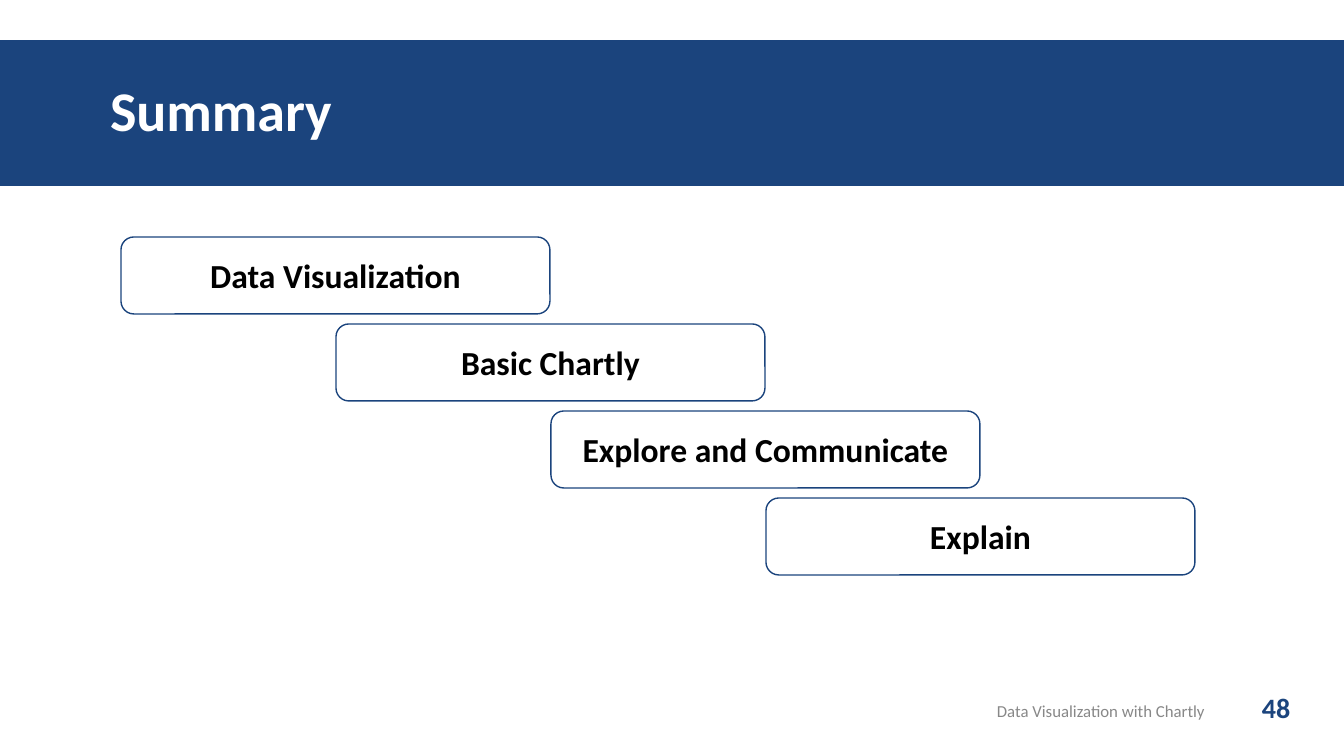
from pptx import Presentation
from pptx import util as u
from pptx.dml.color import RGBColor
from pptx.enum import shapes, text

PX = 914400 / 100.8
HUES = {"navy": "1B447D", "white": "FFFFFF", "black": "000000", "gray": "888888"}


def place(*nums):
    return [round(n * PX) for n in nums]


def write(shape, words, size, hue, bold, align):
    frame = shape.text_frame
    frame.word_wrap = True
    frame.auto_size = text.MSO_AUTO_SIZE.NONE
    frame.vertical_anchor = text.MSO_ANCHOR.MIDDLE
    para = frame.paragraphs[0]
    para.alignment = align
    run = para.add_run()
    run.text = words
    run.font.name = "Calibri"
    run.font.size = u.Pt(size)
    run.font.bold = bold
    run.font.color.rgb = RGBColor.from_string(HUES[hue])


deck = Presentation()
deck.slide_width, deck.slide_height = place(1344, 756)
slide = deck.slides.add_slide(deck.slide_layouts[5])
left, center = text.PP_ALIGN.LEFT, text.PP_ALIGN.CENTER

title = slide.shapes.title
title.left, title.top, title.width, title.height = place(0, 40, 1344, 146)
title.fill.solid()
title.fill.fore_color.rgb = RGBColor.from_string(HUES["navy"])
write(title, "Summary", 40, "white", True, left)
title.text_frame.margin_left = place(110)[0]
title.text_frame.paragraphs[0].line_spacing = 0.9

steps = ["Data Visualization", "Basic Chartly", "Explore and Communicate", "Explain"]
for i, step in enumerate(steps):
    box = slide.shapes.add_shape(
        shapes.MSO_SHAPE.ROUNDED_RECTANGLE, *place(121 + 215 * i, 237 + 87 * i, 429, 77))
    box.shadow.inherit = False
    box.fill.background()
    box.line.color.rgb = RGBColor.from_string(HUES["navy"])
    box.line.width = u.Pt(1)
    write(box, step, 24, "black", True, center)

footer = slide.shapes.add_textbox(*place(980, 691, 242, 40))
write(footer, "Data Visualization with Chartly", 12, "gray", False, center)
number = slide.shapes.add_textbox(*place(1252, 681, 74, 52))
write(number, "48", 20, "navy", True, left)

deck.save("out.pptx")
